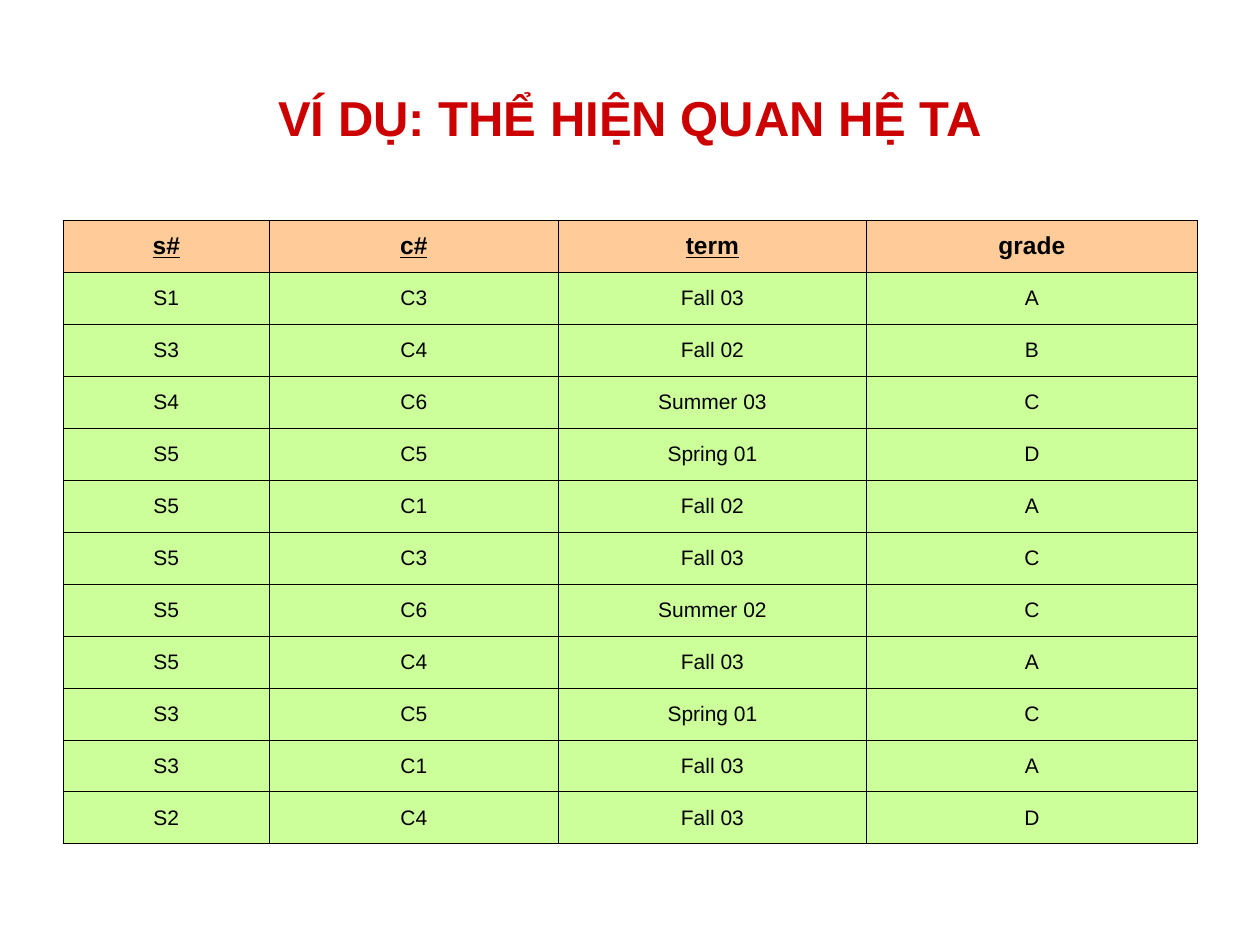
from pptx import Presentation
from pptx import util as u
from pptx.dml.color import RGBColor
from pptx.enum import text
from pptx.oxml import parse_xml
from pptx.oxml.ns import nsdecls

HEAD = ("s#", "c#", "term", "grade")
KEYS = HEAD[:3]
ROWS = [
    ("S1", "C3", "Fall 03", "A"),
    ("S3", "C4", "Fall 02", "B"),
    ("S4", "C6", "Summer 03", "C"),
    ("S5", "C5", "Spring 01", "D"),
    ("S5", "C1", "Fall 02", "A"),
    ("S5", "C3", "Fall 03", "C"),
    ("S5", "C6", "Summer 02", "C"),
    ("S5", "C4", "Fall 03", "A"),
    ("S3", "C5", "Spring 01", "C"),
    ("S3", "C1", "Fall 03", "A"),
    ("S2", "C4", "Fall 03", "D"),
]
WIDTHS = (1.64, 2.29, 2.45, 2.62)


def color(code):
    return RGBColor.from_string(code)


class Deck:
    face = "Arial"
    red, black = "CC0000", "000000"
    peach, green = "FFCC99", "CCFF99"
    border = 0.45

    def __init__(self):
        self.prs = Presentation()
        self.prs.slide_width = u.Inches(10)
        self.prs.slide_height = u.Inches(7.5)
        self.slide = self.prs.slides.add_slide(self.prs.slide_layouts[5])

    def style(self, para, size, code, bold=False, under=False):
        para.alignment = text.PP_ALIGN.CENTER
        font = para.font
        font.name, font.size = self.face, u.Pt(size)
        font.bold, font.underline = bold, under
        font.color.rgb = color(code)

    def title(self, words, left, top, width, height):
        box = self.slide.shapes.title
        box.left, box.top = u.Inches(left), u.Inches(top)
        box.width, box.height = u.Inches(width), u.Inches(height)
        frame = box.text_frame
        frame.text = words
        frame.vertical_anchor = text.MSO_ANCHOR.MIDDLE
        self.style(frame.paragraphs[0], 28, self.red, bold=True)

    def edge(self, cell):
        """Draw a thin line on all four sides of the cell."""
        props = cell._tc.get_or_add_tcPr()
        for side in ("lnL", "lnR", "lnT", "lnB"):
            props.append(parse_xml(
                f'<a:{side} {nsdecls("a")} w="{u.Pt(self.border)}">'
                f'<a:solidFill><a:srgbClr val="{self.black}"/></a:solidFill>'
                f'</a:{side}>'))

    def cell(self, cell, words, head):
        self.edge(cell)
        cell.fill.solid()
        cell.fill.fore_color.rgb = color(self.peach if head else self.green)
        cell.vertical_anchor = text.MSO_ANCHOR.MIDDLE
        cell.text = words
        para = cell.text_frame.paragraphs[0]
        para.space_before = u.Pt(3.5 if head else 3)
        self.style(para, 14 if head else 12, self.black, bold=head,
                   under=head and words in KEYS)

    def table(self, rows, widths, left, top, height):
        table = self.slide.shapes.add_table(
            len(rows), len(widths), u.Inches(left), u.Inches(top),
            u.Inches(sum(widths)), u.Inches(height)).table
        table.horz_banding = False
        for col, width in zip(table.columns, widths):
            col.width = u.Inches(width)
        for r, row in enumerate(rows):
            for c, words in enumerate(row):
                self.cell(table.cell(r, c), words, head=r == 0)


def main():
    deck = Deck()
    deck.title("VÍ DỤ: THỂ HIỆN QUAN HỆ TA", 0.5, 0.3, 9, 1.25)
    deck.table([HEAD, *ROWS], WIDTHS, 0.5, 1.75, 4.95)
    deck.prs.save("out.pptx")


if __name__ == "__main__":
    main()
